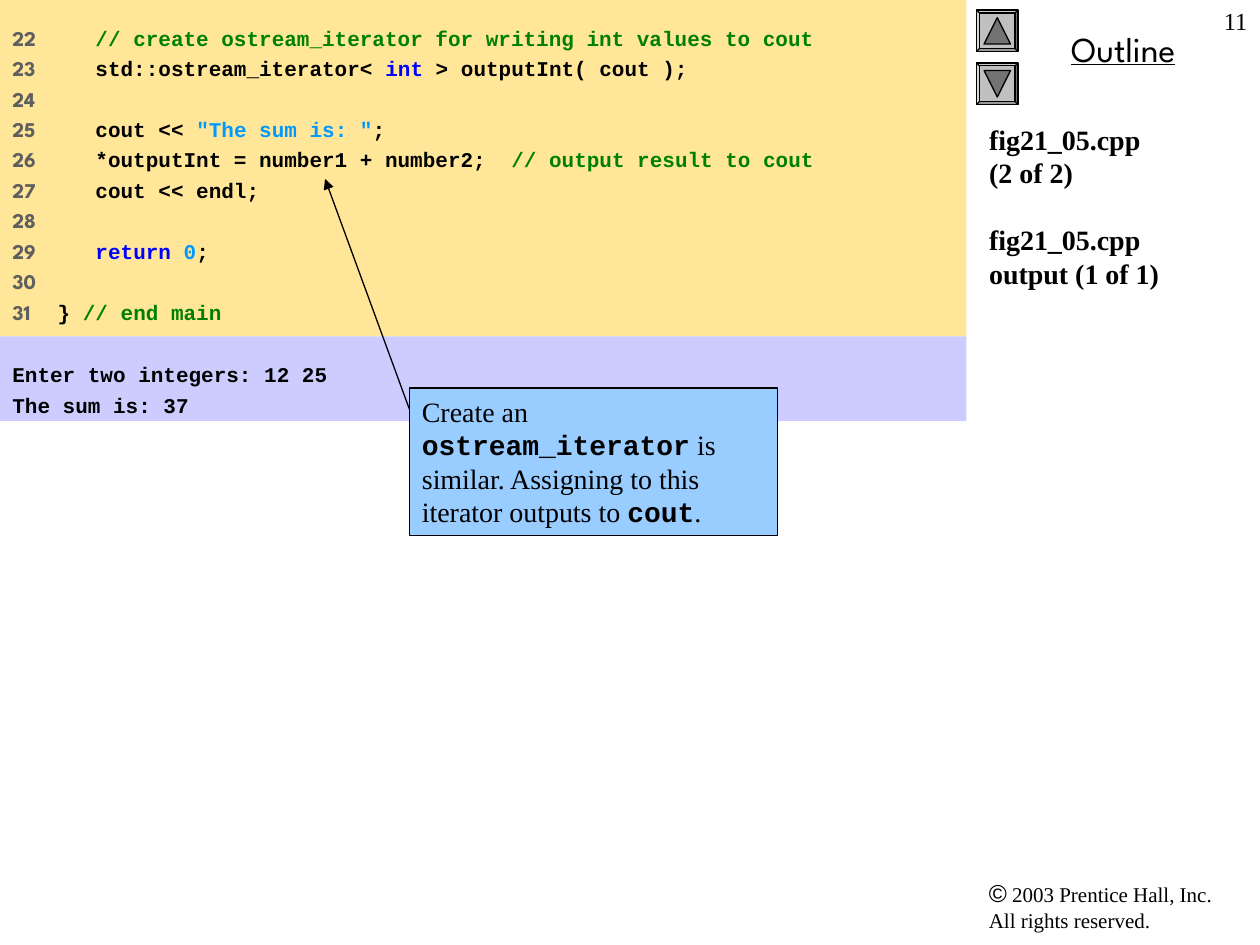
from lxml import etree
from pptx import Presentation
from pptx.dml.color import RGBColor
from pptx.enum.shapes import MSO_CONNECTOR, MSO_SHAPE
from pptx.enum.text import MSO_ANCHOR, MSO_AUTO_SIZE, PP_ALIGN
from pptx.oxml.ns import qn
from pptx.util import Inches, Pt

SERIF, MONO, SPARTAN = "Times New Roman", "Courier New", "League Spartan"
BLACK, GRAY, GREEN, BLUE, SKY = "000000", "5F5F5F", "008000", "0000FF", "0099FF"

CODE = [
    (22, [("   ", BLACK), ("// create ostream_iterator for writing int values to cout", GREEN)]),
    (23, [("   std::ostream_iterator< ", BLACK), ("int", BLUE), (" > outputInt( cout );", BLACK)]),
    (24, []),
    (25, [("   cout << ", BLACK), ('"The sum is: "', SKY), (";", BLACK)]),
    (26, [("   *outputInt = number1 + number2;  ", BLACK), ("// output result to cout", GREEN)]),
    (27, [("   cout << endl;", BLACK)]),
    (28, []),
    (29, [("   ", BLACK), ("return ", BLUE), ("0", SKY), (";", BLACK)]),
    (30, []),
    (31, [("} ", BLACK), ("// end main", GREEN)]),
]
OUTPUT = ["Enter two integers: 12 25", "The sum is: 37"]
FILES = ["fig21_05.cpp\v(2 of 2)", "fig21_05.cpp\voutput (1 of 1)"]
CALLOUT = [
    ("Create an ", False), ("ostream_iterator", True),
    (" is similar. Assigning to this iterator outputs to ", False),
    ("cout", True), (".", False),
]


def rgb(color):
    """Turn a hex string into a colour."""
    return RGBColor.from_string(color)


def set_font(font, name, size, color=BLACK, bold=False):
    """Set the face, size, colour and weight of a font."""
    font.name, font.size, font.bold = name, Pt(size), bold
    font.color.rgb = rgb(color)


def add_run(p, text, name, size, color=BLACK, bold=False):
    """Append a formatted run to a paragraph."""
    r = p.add_run()
    r.text = text
    set_font(r.font, name, size, color, bold)


def set_frame(tf, margin_y=0.05):
    """Give a text frame its wrapping, anchor and margins."""
    tf.word_wrap = True
    tf.auto_size = MSO_AUTO_SIZE.NONE
    tf.vertical_anchor = MSO_ANCHOR.TOP
    tf.margin_left = tf.margin_right = Inches(0.1)
    tf.margin_top = tf.margin_bottom = Inches(margin_y)


def get_paragraph(tf, i, space=0):
    """Return the i-th paragraph, left aligned, with space above all but the first."""
    p = tf.add_paragraph() if i else tf.paragraphs[0]
    p.alignment = PP_ALIGN.LEFT
    if i:
        p.space_before = Pt(space)
    return p


def add_text(s, x, y, w, h):
    """Add a text box and return its first paragraph."""
    tf = s.shapes.add_textbox(Inches(x), Inches(y), Inches(w), Inches(h)).text_frame
    set_frame(tf)
    return tf.paragraphs[0]


def add_block(s, kind, x, y, w, h, fill, line=None):
    """Add a filled preset shape, outlined only when a line colour is given."""
    sp = s.shapes.add_shape(kind, Inches(x), Inches(y), Inches(w), Inches(h))
    sp.shadow.inherit = False
    sp.fill.solid()
    sp.fill.fore_color.rgb = rgb(fill)
    if line:
        sp.line.color.rgb = rgb(line)
        sp.line.width = Pt(0.75)
    else:
        sp.line.fill.background()
    return sp


def add_tab(p, inches):
    """Add a left tab stop to a paragraph."""
    tabs = etree.SubElement(p._p.get_or_add_pPr(), qn("a:tabLst"))
    etree.SubElement(tabs, qn("a:tab"), pos=str(Inches(inches)), algn="l")


def add_arrow(s, x1, y1, x2, y2):
    """Add a thin black line with an arrowhead at its end."""
    line = s.shapes.add_connector(
        MSO_CONNECTOR.STRAIGHT, Inches(x1), Inches(y1), Inches(x2), Inches(y2))
    line.line.color.rgb = rgb(BLACK)
    line.line.width = Pt(0.75)
    etree.SubElement(line.line._get_or_add_ln(), qn("a:tailEnd"), type="triangle")
    etree.SubElement(line._element.spPr, qn("a:effectLst"))


def add_button(s, y, rotation):
    """Add a bevelled navigation button with a triangle."""
    sp = add_block(s, MSO_SHAPE.BEVEL, 7.75, y, 0.33, 0.33, "C0C0C0", BLACK)
    sp.adjustments[0] = 0.07
    arrow = add_block(s, MSO_SHAPE.ISOSCELES_TRIANGLE, 7.81, y + 0.06, 0.21, 0.21, "737373", BLACK)
    arrow.rotation = rotation


def add_sidebar(s):
    """Fill the right column: heading, buttons, files, page number and copyright."""
    p = add_text(s, 7.75, 6.92, 2.17, 0.54)
    add_run(p, "©", "Arial", 14)
    add_run(p, " 2003 Prentice Hall, Inc.", SERIF, 12)
    p.add_line_break()
    add_run(p, "All rights reserved.", SERIF, 12)

    p = add_text(s, 7.83, 0.17, 2.17, 0.44)
    p.text, p.alignment = "Outline", PP_ALIGN.CENTER
    set_font(p.font, SPARTAN, 20)
    p.font.underline = True

    for y, rotation in ((0.08, 0), (0.5, 180)):
        add_button(s, y, rotation)

    title = s.shapes.title
    title.left, title.top, title.width, title.height = map(Inches, (7.75, 0.92, 2.25, 5.25))
    set_frame(title.text_frame)
    for i, text in enumerate(FILES):
        p = get_paragraph(title.text_frame, i, 19)
        p.text = text
        set_font(p.font, SERIF, 16, bold=True)

    p = add_text(s, 9.5, 0, 0.5, 0.5)
    p.text, p.alignment = "11", PP_ALIGN.RIGHT
    set_font(p.font, SERIF, 14)


def add_code(s):
    """Add the numbered program listing."""
    tf = add_block(s, MSO_SHAPE.RECTANGLE, 0, 0, 7.67, 2.67, "FFE699").text_frame
    set_frame(tf, 0.2)
    for i, (number, parts) in enumerate(CODE):
        p = get_paragraph(tf, i, 3)
        add_tab(p, 0.36)
        add_run(p, f"{number}\t" if parts else str(number), SPARTAN, 12, GRAY, True)
        for text, color in parts:
            add_run(p, text, MONO, 12, color, True)


def add_output(s):
    """Add the program output panel."""
    tf = add_block(s, MSO_SHAPE.RECTANGLE, 0, 2.67, 7.67, 0.67, "CCCCFF").text_frame
    set_frame(tf, 0.2)
    for i, text in enumerate(OUTPUT):
        p = get_paragraph(tf, i, 3)
        p.text = text
        set_font(p.font, MONO, 12, bold=True)


def add_callout(s):
    """Add the explanation box and its arrow to the code."""
    tf = add_block(s, MSO_SHAPE.RECTANGLE, 3.25, 3.08, 2.92, 1.17, "99CCFF", BLACK).text_frame
    set_frame(tf)
    p = get_paragraph(tf, 0)
    for text, is_code in CALLOUT:
        add_run(p, text, MONO if is_code else SERIF, 16, bold=is_code)
    add_arrow(s, 3.25, 3.25, 2.58, 1.42)


def main():
    """Build and save the slide."""
    prs = Presentation()
    prs.slide_width, prs.slide_height = Inches(10), Inches(7.5)
    s = prs.slides.add_slide(prs.slide_layouts[5])
    add_sidebar(s)
    add_code(s)
    add_output(s)
    add_callout(s)
    prs.save("out.pptx")


if __name__ == "__main__":
    main()
